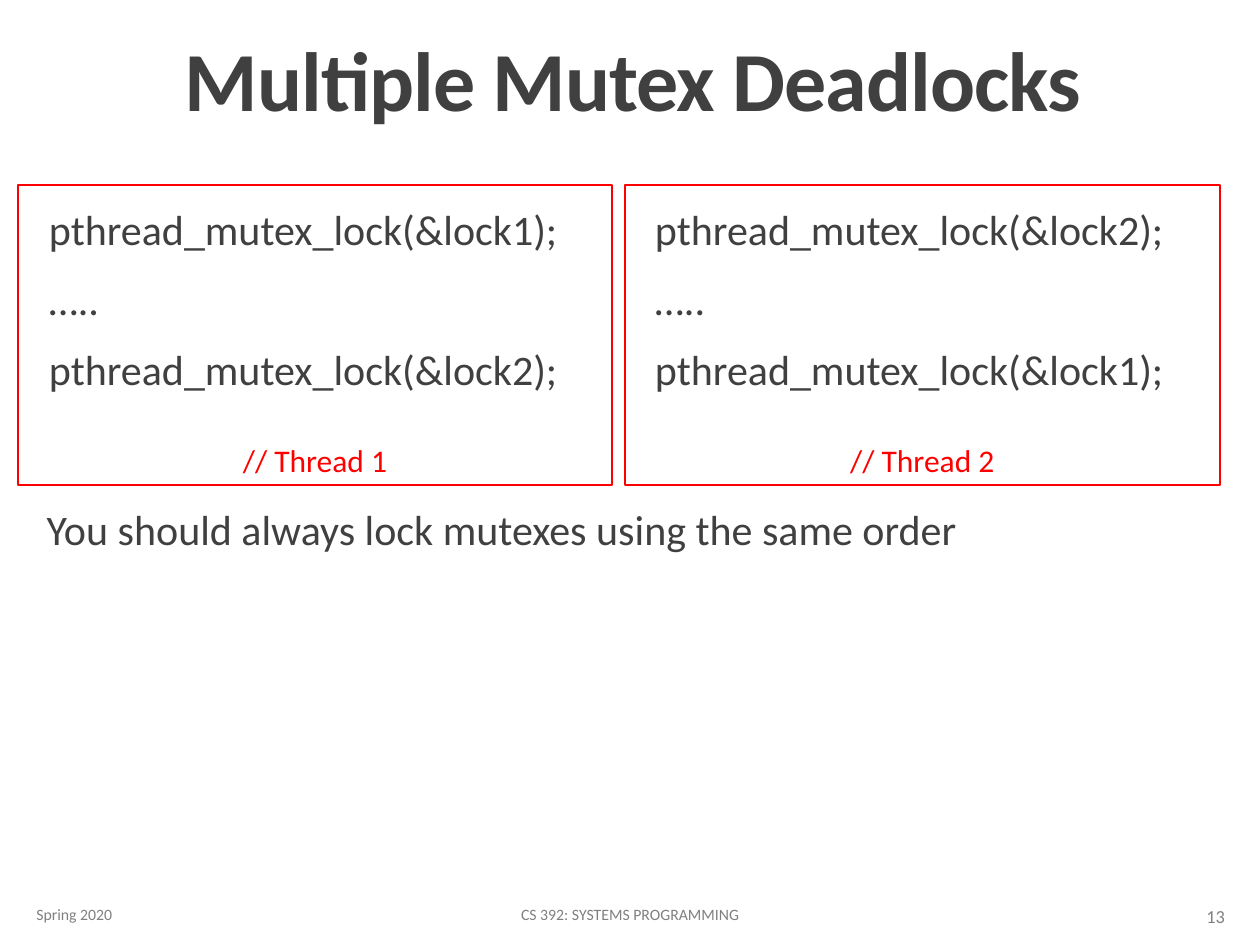
"""Build the slide on deadlocks with two mutexes."""
from pptx import Presentation
from pptx import util as u
from pptx.dml.color import RGBColor
from pptx.enum import shapes, text

TITLE = "Multiple Mutex Deadlocks"
RULE = "You should always lock mutexes using the same order"
THREADS = [
    ("// Thread 1", 0.14, 0.29, 4.66, ("lock1", "lock2")),
    ("// Thread 2", 4.96, 5.1, 4.53, ("lock2", "lock1")),
]
FOOTER = [
    ("Spring 2020", (0.19, 7.06, 2.03, 0.4), 9, "LEFT"),
    ("CS 392: SYSTEMS PROGRAMMING", (3.02, 7.06, 3.96, 0.4), 9, "CENTER"),
    ("13", (8.74, 7.07, 1.08, 0.4), 10.5, "RIGHT"),
]
DARK, GREY, RED = "404040", "808080", "FF0000"


def place(box):
    return [u.Inches(n) for n in box]


def color(hue):
    return RGBColor.from_string(hue)


def write(shape, lines, size, hue, align="LEFT", anchor="TOP"):
    frame = shape.text_frame
    frame.text = "\n".join(lines)
    frame.word_wrap = True
    frame.auto_size = text.MSO_AUTO_SIZE.NONE
    frame.vertical_anchor = getattr(text.MSO_ANCHOR, anchor)
    for para in frame.paragraphs:
        para.alignment = getattr(text.PP_ALIGN, align)
        para.font.name = "Calibri"
        para.font.size = u.Pt(size)
        para.font.color.rgb = color(hue)
    return frame


def add_body(slide, box, lines, inset=0.1):
    frame = write(slide.shapes.add_textbox(*place(box)), lines, 24, DARK)
    frame.margin_left, frame.margin_right = u.Inches(inset), 0
    for para in frame.paragraphs:
        para.line_spacing = 0.9
        para.space_before, para.space_after = u.Pt(12), u.Pt(2)


def add_title(slide):
    title = slide.shapes.title
    title.left, title.top, title.width, title.height = place((0.9, 0.04, 8.25, 1.03))
    para = write(title, [TITLE], 48, DARK, "CENTER", "BOTTOM").paragraphs[0]
    para.font.bold = True
    para.line_spacing = 0.85
    title.element.xpath(".//a:r")[0].get_or_add_rPr().set("spc", "-50")


def add_thread(slide, name, left, inner, width, locks):
    first, last = [f"pthread_mutex_lock(&{lock});" for lock in locks]
    add_body(slide, (inner, 1.61, width, 2.08), [first, "…..", last])
    frame = slide.shapes.add_shape(
        shapes.MSO_SHAPE.RECTANGLE, *place((left, 1.47, 4.72, 2.38)))
    frame.shadow.inherit = False
    frame.fill.background()
    frame.line.color.rgb = color(RED)
    frame.line.width = u.Pt(1.25)
    write(frame, [name], 18, RED, "CENTER", "BOTTOM")


def main():
    deck = Presentation()
    deck.slide_width, deck.slide_height = place((10, 7.5))
    slide = deck.slides.add_slide(deck.slide_layouts[5])
    add_title(slide)
    for thread in THREADS:
        add_thread(slide, *thread)
    add_body(slide, (0.19, 3.99, 9.62, 2.81), [RULE], 0.18)
    for label, box, size, align in FOOTER:
        note = slide.shapes.add_textbox(*place(box))
        write(note, [label], size, GREY, align, "MIDDLE")
    deck.save("out.pptx")


if __name__ == "__main__":
    main()
